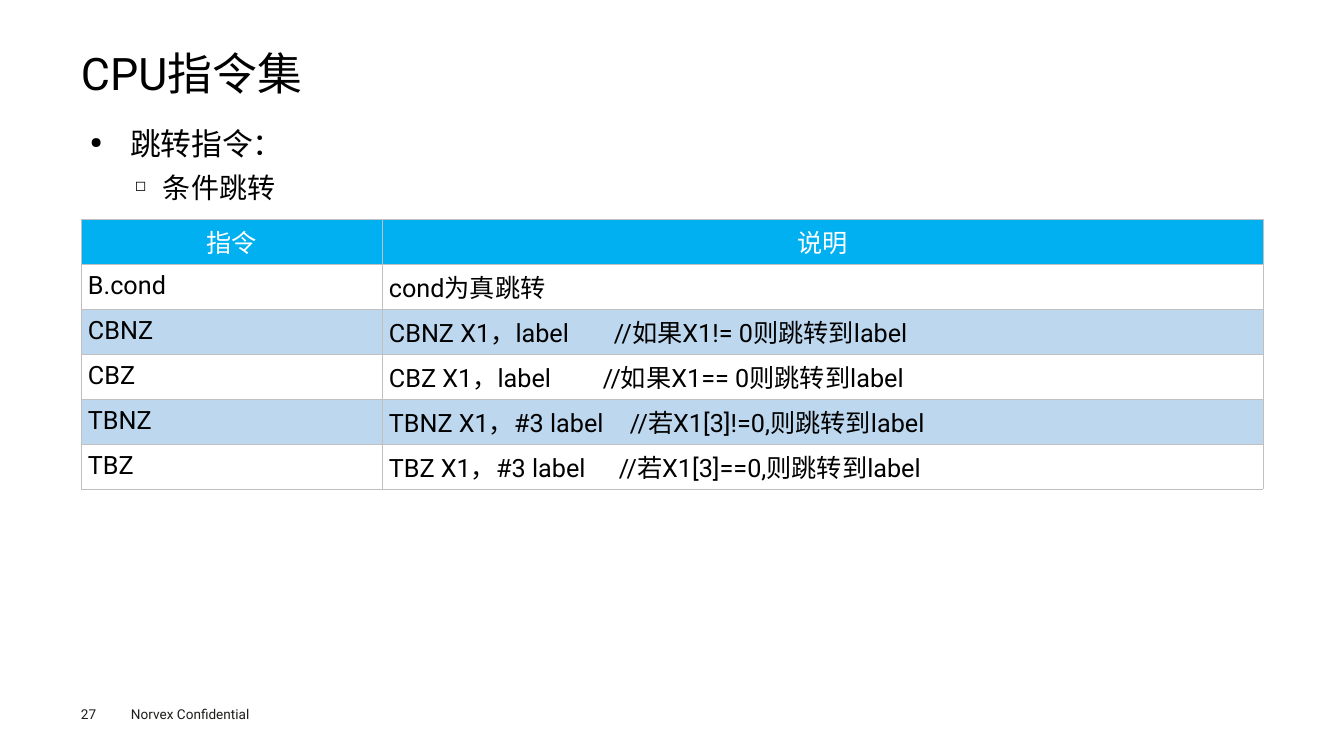
from dataclasses import dataclass

import lxml.etree
import pptx
import pptx.dml.color
import pptx.enum.text
import pptx.oxml.ns
import pptx.util

EMU_PER_PX = 914400 / 100.8
FONT = "Roboto"
BLACK, WHITE, FOOTER_GRAY = "000000", "FFFFFF", "1D1D1B"
HEADER_BLUE, BAND_BLUE, BORDER_GRAY = "00B0F0", "BDD7EE", "C0C0C0"
MIDDLE = pptx.enum.text.MSO_ANCHOR.MIDDLE
CENTER = pptx.enum.text.PP_ALIGN.CENTER


@dataclass
class Line:
    text: str
    size: float
    color: str = BLACK
    spacing: float | pptx.util.Length | None = None
    bullet: str = ""
    indent: int = 0
    hanging: int = 0


@dataclass
class TextBox:
    left: int
    top: int
    width: int
    height: int
    lines: list[Line]
    inset_x: int = 0
    inset_y: int = 0
    anchor: pptx.enum.text.MSO_ANCHOR = pptx.enum.text.MSO_ANCHOR.TOP


@dataclass
class Instruction:
    name: str
    usage: str
    comment: str = ""
    comment_tab: int = 0


BODY_SPACING = pptx.util.Pt(30)
TEXT_BOXES = [
    TextBox(121, 701, 161, 27, [Line("Norvex Confidential", 9.7, FOOTER_GRAY)], 10, 5),
    TextBox(81, 706, 55, 16, [Line("27", 9.7, FOOTER_GRAY)]),
    TextBox(81, 49, 1182, 54, [Line("CPU指令集", 32, spacing=0.9)], anchor=MIDDLE),
    TextBox(81, 116, 1182, 538, [
        Line("跳转指令：", 22, BLACK, BODY_SPACING, "●", 40, 40),
        Line("条件跳转", 20, BLACK, BODY_SPACING, "◻", 73, 28),
    ], 9, 4),
]

COLUMN_TITLES = ("指令", "说明")
COLUMN_WIDTHS = (301, 881)
ROW_HEIGHT = 45
INSTRUCTIONS = [
    Instruction("B.cond", "cond为真跳转"),
    Instruction("CBNZ", "CBNZ X1，label", "//如果X1!= 0则跳转到label", 225),
    Instruction("CBZ", "CBZ X1，label", "//如果X1== 0则跳转到label", 214),
    Instruction("TBNZ", "TBNZ X1，#3 label", "//若X1[3]!=0,则跳转到label", 241),
    Instruction("TBZ", "TBZ X1，#3 label", "//若X1[3]==0,则跳转到label", 230),
]


def px(length: int) -> int:
    return round(length * EMU_PER_PX)


def rgb(color: str) -> pptx.dml.color.RGBColor:
    return pptx.dml.color.RGBColor.from_string(color)


def add_xml(parent, tag: str, **attributes):
    child = lxml.etree.SubElement(parent, pptx.oxml.ns.qn(tag))
    for name, value in attributes.items():
        child.set(name, str(value))
    return child


def set_font(paragraph, size: float, color: str) -> None:
    paragraph.font.name = FONT
    paragraph.font.size = pptx.util.Pt(size)
    paragraph.font.color.rgb = rgb(color)


def add_text_box(slide, box: TextBox) -> None:
    frame = slide.shapes.add_textbox(
        px(box.left), px(box.top), px(box.width), px(box.height)).text_frame
    frame.word_wrap = True
    frame.vertical_anchor = box.anchor
    frame.margin_left = frame.margin_right = px(box.inset_x)
    frame.margin_top = frame.margin_bottom = px(box.inset_y)
    for index, line in enumerate(box.lines):
        paragraph = frame.add_paragraph() if index else frame.paragraphs[0]
        paragraph.text = line.text
        if line.spacing is not None:
            paragraph.line_spacing = line.spacing
        if line.bullet:
            properties = paragraph._p.get_or_add_pPr()
            properties.set("marL", str(px(line.indent)))
            properties.set("indent", str(-px(line.hanging)))
            add_xml(properties, "a:buSzPct", val=50000)
            add_xml(properties, "a:buChar", char=line.bullet)
        set_font(paragraph, line.size, line.color)


def add_borders(cell) -> None:
    properties = cell._tc.get_or_add_tcPr()
    for side in ("a:lnL", "a:lnR", "a:lnT", "a:lnB"):
        border = add_xml(properties, side, w=pptx.util.Pt(0.38))
        add_xml(add_xml(border, "a:solidFill"), "a:srgbClr", val=BORDER_GRAY)


def fill_cell(cell, text: str, color: str, fill: str | None, tab: int = 0):
    """Write and style one cell; tab is the comment's distance from the text start."""
    cell.vertical_anchor = MIDDLE
    cell.margin_left = cell.margin_right = px(7)
    cell.margin_top = cell.margin_bottom = px(4)
    add_borders(cell)
    if fill:
        cell.fill.solid()
        cell.fill.fore_color.rgb = rgb(fill)
    else:
        cell.fill.background()
    paragraph = cell.text_frame.paragraphs[0]
    paragraph.text = text
    if tab:
        tabs = add_xml(paragraph._p.get_or_add_pPr(), "a:tabLst")
        add_xml(tabs, "a:tab", pos=px(tab), algn="l")
    set_font(paragraph, 18, color)
    return paragraph


def add_instruction_table(slide) -> None:
    row_count = len(INSTRUCTIONS) + 1
    table = slide.shapes.add_table(
        row_count, len(COLUMN_WIDTHS), px(81), px(219),
        px(sum(COLUMN_WIDTHS)), px(ROW_HEIGHT * row_count)).table
    table.first_row = table.horz_banding = False
    for column, (title, width) in enumerate(zip(COLUMN_TITLES, COLUMN_WIDTHS)):
        table.columns[column].width = px(width)
        heading = fill_cell(table.cell(0, column), title, WHITE, HEADER_BLUE)
        heading.alignment = CENTER
    for row, instruction in enumerate(INSTRUCTIONS, start=1):
        band = BAND_BLUE if row % 2 == 0 else None
        description = instruction.usage
        if instruction.comment:
            description += "\t" + instruction.comment
        fill_cell(table.cell(row, 0), instruction.name, BLACK, band)
        fill_cell(table.cell(row, 1), description, BLACK, band, instruction.comment_tab)


def main() -> None:
    presentation = pptx.Presentation()
    presentation.slide_width = px(1344)
    presentation.slide_height = px(756)
    slide = presentation.slides.add_slide(presentation.slide_layouts[6])
    for box in TEXT_BOXES:
        add_text_box(slide, box)
    add_instruction_table(slide)
    presentation.save("out.pptx")


if __name__ == "__main__":
    main()
